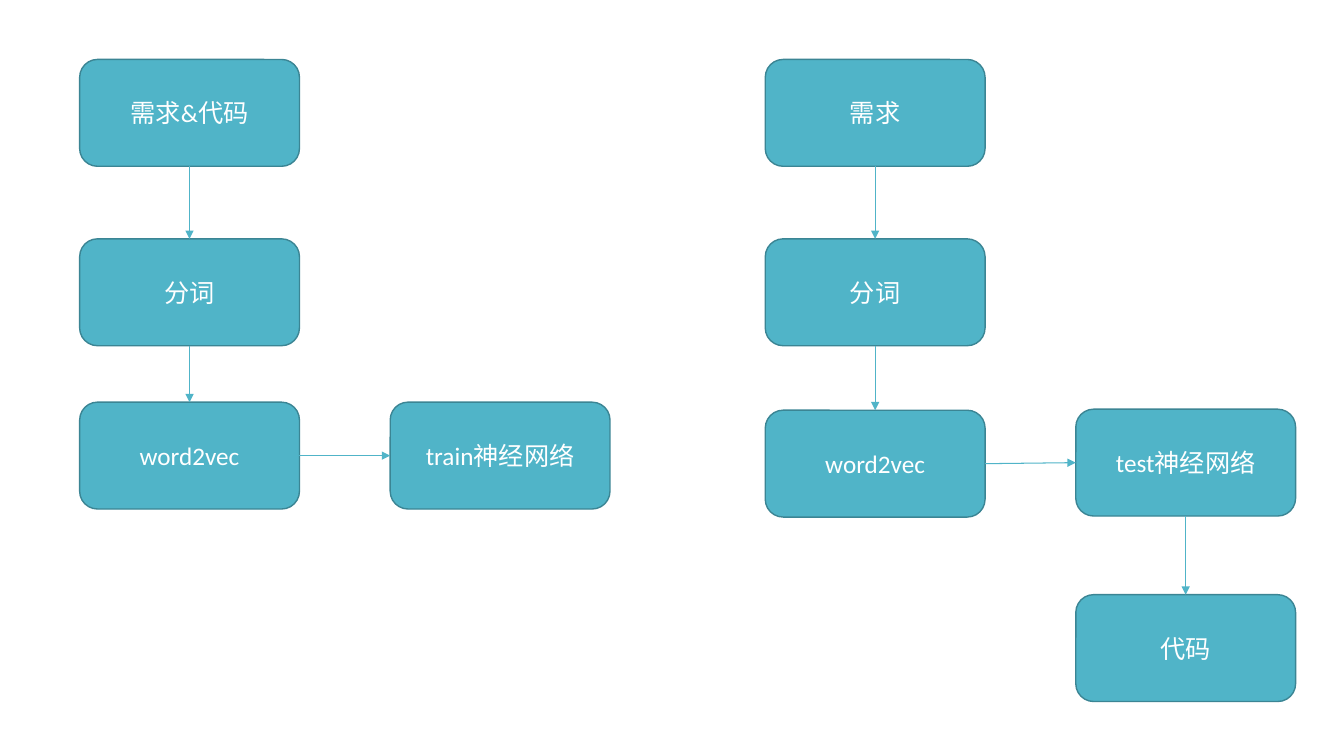
from dataclasses import dataclass

from lxml.etree import SubElement
from pptx import Presentation
from pptx.dml.color import RGBColor
from pptx.enum.shapes import MSO_CONNECTOR, MSO_SHAPE
from pptx.enum.text import MSO_ANCHOR, PP_ALIGN
from pptx.oxml.ns import qn
from pptx.util import Inches, Pt


@dataclass(frozen=True)
class Theme:
    step_fill: RGBColor = RGBColor.from_string("50B4C8")
    step_outline: RGBColor = RGBColor.from_string("3B8594")
    label: RGBColor = RGBColor.from_string("FFFFFF")
    font: str = "Calibri"
    label_size: Pt = Pt(18)
    outline_width: Pt = Pt(1)
    arrow_width: Pt = Pt(0.75)


theme = Theme()
STEP_WIDTH, STEP_HEIGHT = Inches(2.18), Inches(1.06)
TOP, LEFT, BOTTOM, RIGHT = range(4)
TRAIN_START, TRAIN_NETWORK, TEST_START, TEST_NETWORK = 0.79, 3.87, 7.59, 10.67
INPUT_ROW, SPLIT_ROW, TRAIN_ROW, TEST_ROW, OUTPUT_ROW = 0.59, 2.37, 3.99, 4.07, 5.9

flows = [
    [
        ("需求&代码", TRAIN_START, INPUT_ROW),
        ("分词", TRAIN_START, SPLIT_ROW),
        ("word2vec", TRAIN_START, TRAIN_ROW),
        ("train神经网络", TRAIN_NETWORK, TRAIN_ROW),
    ],
    [
        ("需求", TEST_START, INPUT_ROW),
        ("分词", TEST_START, SPLIT_ROW),
        ("word2vec", TEST_START, TEST_ROW),
        ("test神经网络", TEST_NETWORK, TEST_ROW - 0.01),
        ("代码", TEST_NETWORK, OUTPUT_ROW),
    ],
]

presentation = Presentation()
presentation.slide_width, presentation.slide_height = Inches(13.33), Inches(7.5)
slide = presentation.slides.add_slide(presentation.slide_layouts[6])


def add_step(label, column, row):
    step = slide.shapes.add_shape(
        MSO_SHAPE.ROUNDED_RECTANGLE, Inches(column), Inches(row), STEP_WIDTH, STEP_HEIGHT
    )
    step.shadow.inherit = False
    step.fill.solid()
    step.fill.fore_color.rgb = theme.step_fill
    step.line.color.rgb = theme.step_outline
    step.line.width = theme.outline_width
    step.text_frame.text = label
    step.text_frame.vertical_anchor = MSO_ANCHOR.MIDDLE
    paragraph = step.text_frame.paragraphs[0]
    paragraph.alignment = PP_ALIGN.CENTER
    font = paragraph.runs[0].font
    font.name, font.size = theme.font, theme.label_size
    font.color.rgb = theme.label
    return step


def add_arrow(source, target):
    exit_side, entry_side = (BOTTOM, TOP) if source.left == target.left else (RIGHT, LEFT)
    arrow = slide.shapes.add_connector(MSO_CONNECTOR.STRAIGHT, 0, 0, 0, 0)
    arrow.begin_connect(source, exit_side)
    arrow.end_connect(target, entry_side)
    arrow.line.color.rgb = theme.step_fill
    arrow.line.width = theme.arrow_width
    properties = arrow._element.spPr
    SubElement(properties.find(qn("a:ln")), qn("a:tailEnd"), type="triangle")
    SubElement(properties, qn("a:effectLst"))


for flow in flows:
    steps = [add_step(*entry) for entry in flow]
    for source, target in zip(steps, steps[1:]):
        add_arrow(source, target)

presentation.save("out.pptx")
